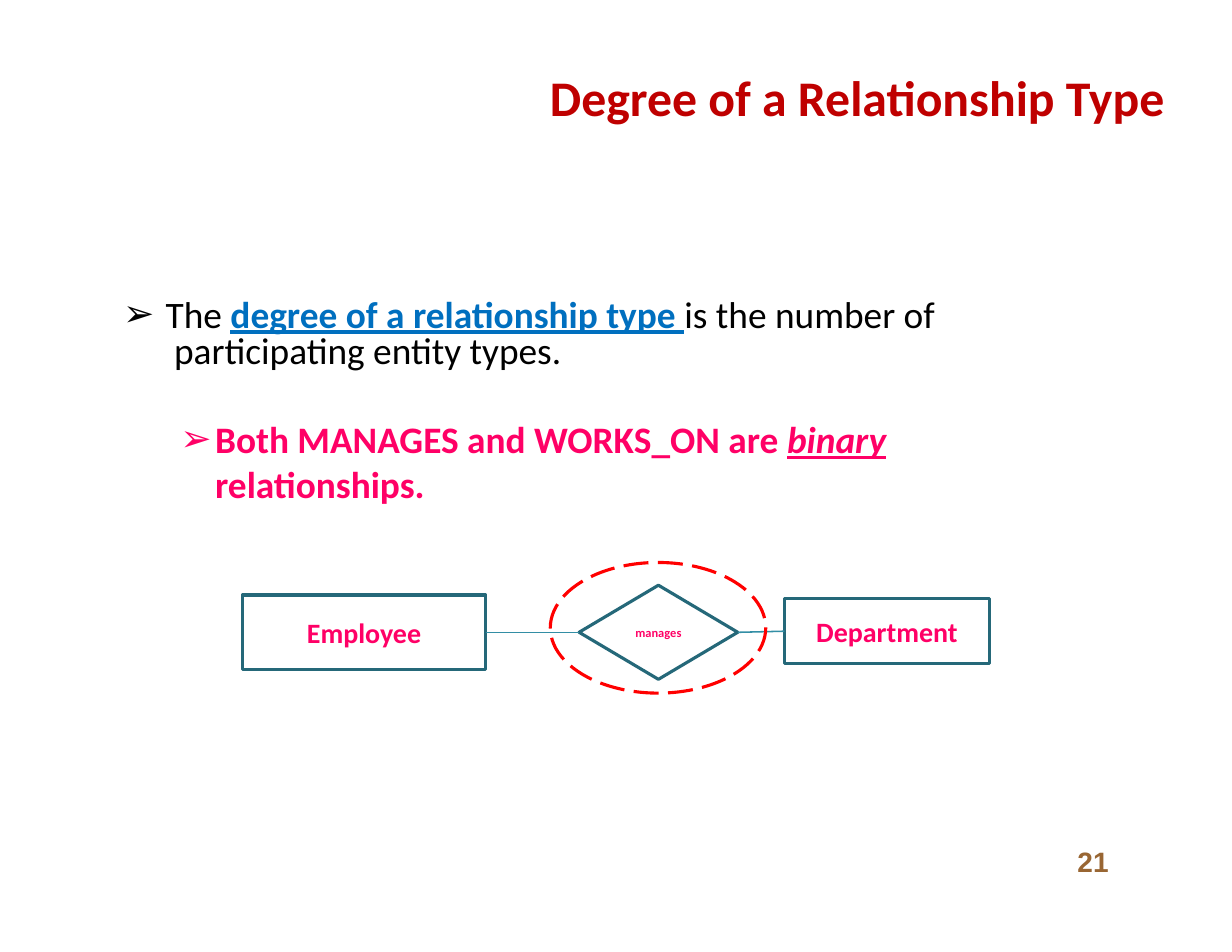
from lxml import etree
from pptx import Presentation
from pptx.dml.color import RGBColor
from pptx.enum.dml import MSO_LINE
from pptx.enum.shapes import MSO_CONNECTOR, MSO_SHAPE
from pptx.enum.text import MSO_ANCHOR, MSO_AUTO_SIZE, PP_ALIGN
from pptx.oxml.ns import qn
from pptx.util import Pt

RECT, DIAMOND, OVAL = MSO_SHAPE.RECTANGLE, MSO_SHAPE.DIAMOND, MSO_SHAPE.OVAL
LINE, DASH = MSO_CONNECTOR.STRAIGHT, MSO_LINE.LONG_DASH
TOP, MIDDLE = MSO_ANCHOR.TOP, MSO_ANCHOR.MIDDLE
LEFT, CENTER = PP_ALIGN.LEFT, PP_ALIGN.CENTER
FIXED = MSO_AUTO_SIZE.NONE

COLORS = {
    "title": "BF0000", "text": "000000", "term": "006FBF", "pink": "FF0066",
    "edge": "256879", "link": "338EA5", "ring": "FF0000", "page": "996633",
}


def color(name):
    return RGBColor.from_string(COLORS[name])


def place(shape, box):
    for key, value in zip(("left", "top", "width", "height"), box):
        setattr(shape, key, Pt(value))


def frame(shape, anchor=TOP, inset=0):
    text = shape.text_frame
    form = {
        "margin_left": 0, "margin_right": 0, "margin_top": Pt(inset),
        "margin_bottom": 0, "word_wrap": True, "auto_size": FIXED,
        "vertical_anchor": anchor,
    }
    for key, value in form.items():
        setattr(text, key, value)
    return text


def write(para, text, size, hue, name="Calibri", **form):
    run = para.add_run()
    run.text = text
    run.font.color.rgb = color(hue)
    for key, value in {"size": Pt(size), "name": name, **form}.items():
        setattr(run.font, key, value)


def bullet(para, left, hang):
    props = para._p.get_or_add_pPr()
    props.set("marL", str(Pt(left)))
    props.set("indent", str(Pt(-hang)))
    etree.SubElement(props, qn("a:buChar")).set("char", "➢")


def title(slide, box):
    shape = slide.shapes.title
    place(shape, box)
    para = frame(shape, inset=0.9).paragraphs[0]
    para.alignment = LEFT
    write(para, "Degree of a Relationship Type", 32, "title", bold=True)


def points(slide, box):
    shape = slide.placeholders[1]
    place(shape, box)
    text = frame(shape, inset=6.5)

    first = text.paragraphs[0]
    bullet(first, 28, 27.4)
    first.line_spacing, first.space_before = Pt(23), Pt(0)
    write(first, "The ", 24, "text")
    write(first, "degree of a relationship type ", 24, "term",
          bold=True, underline=True)
    write(first, "is the number of", 24, "text")
    first.add_line_break()
    write(first, " participating entity types.", 24, "text")

    second = text.add_paragraph()
    second.level = 1
    bullet(second, 59.8, 22.3)
    second.space_before = Pt(28.8)
    write(second, "Both MANAGES and WORKS_ON are ", 24, "pink", bold=True)
    write(second, "binary", 24, "pink", bold=True, italic=True, underline=True)
    second.add_line_break()
    write(second, "relationships.", 24, "pink", bold=True)


def node(slide, kind, box, hue, label="", size=18):
    shape = slide.shapes.add_shape(kind, *map(Pt, box))
    shape.shadow.inherit = False
    shape.fill.background()
    shape.line.color.rgb = color(hue)
    shape.line.width = Pt(2)
    if label:
        para = frame(shape, MIDDLE).paragraphs[0]
        para.alignment = CENTER
        write(para, label, size, "pink", bold=True)
    return shape


def join(slide, start, end):
    link = slide.shapes.add_connector(LINE, 0, 0, 0, 0)
    link.begin_connect(start, 3)
    link.end_connect(end, 1)
    link.line.color.rgb = color("link")
    link.line.width = Pt(1)
    etree.SubElement(link._element.spPr, qn("a:effectLst"))


def diagram(slide, box):
    x, y, w, h = box
    mid = y + h / 2

    def spot(left, wide, high, shift=0):
        return x + left, mid + shift - high / 2, wide, high

    staff = node(slide, RECT, spot(0, 156.5, 48), "edge", "Employee")
    dept = node(slide, RECT, spot(w - 132, 132, 42, -0.7), "edge", "Department")
    verb = node(slide, DIAMOND, spot(216.5, 102, 60.5), "edge", "manages", 8)
    join(slide, staff, verb)
    join(slide, verb, dept)
    ring = node(slide, OVAL, spot(198, 138.5, 84, -2.9), "ring")
    ring.line.dash_style = DASH


def number(slide, box):
    shape = slide.shapes.add_textbox(*map(Pt, box))
    para = frame(shape).paragraphs[0]
    para.line_spacing = Pt(20.9)
    para._p.get_or_add_pPr().set("marL", str(Pt(2.9)))
    write(para, "21", 18, "page", "Arial", bold=True)


def main():
    deck = Presentation()
    deck.slide_width, deck.slide_height = Pt(792), Pt(612)
    slide = deck.slides.add_slide(deck.slide_layouts[1])
    title(slide, (353.5, 41.8, 396.7, 40.3))
    points(slide, (78.5, 186.5, 632.9, 111.6))
    diagram(slide, (155.8, 361.7, 480.4, 89.6))
    number(slide, (689.8, 543.6, 25.9, 22.3))
    deck.save("out.pptx")


if __name__ == "__main__":
    main()
